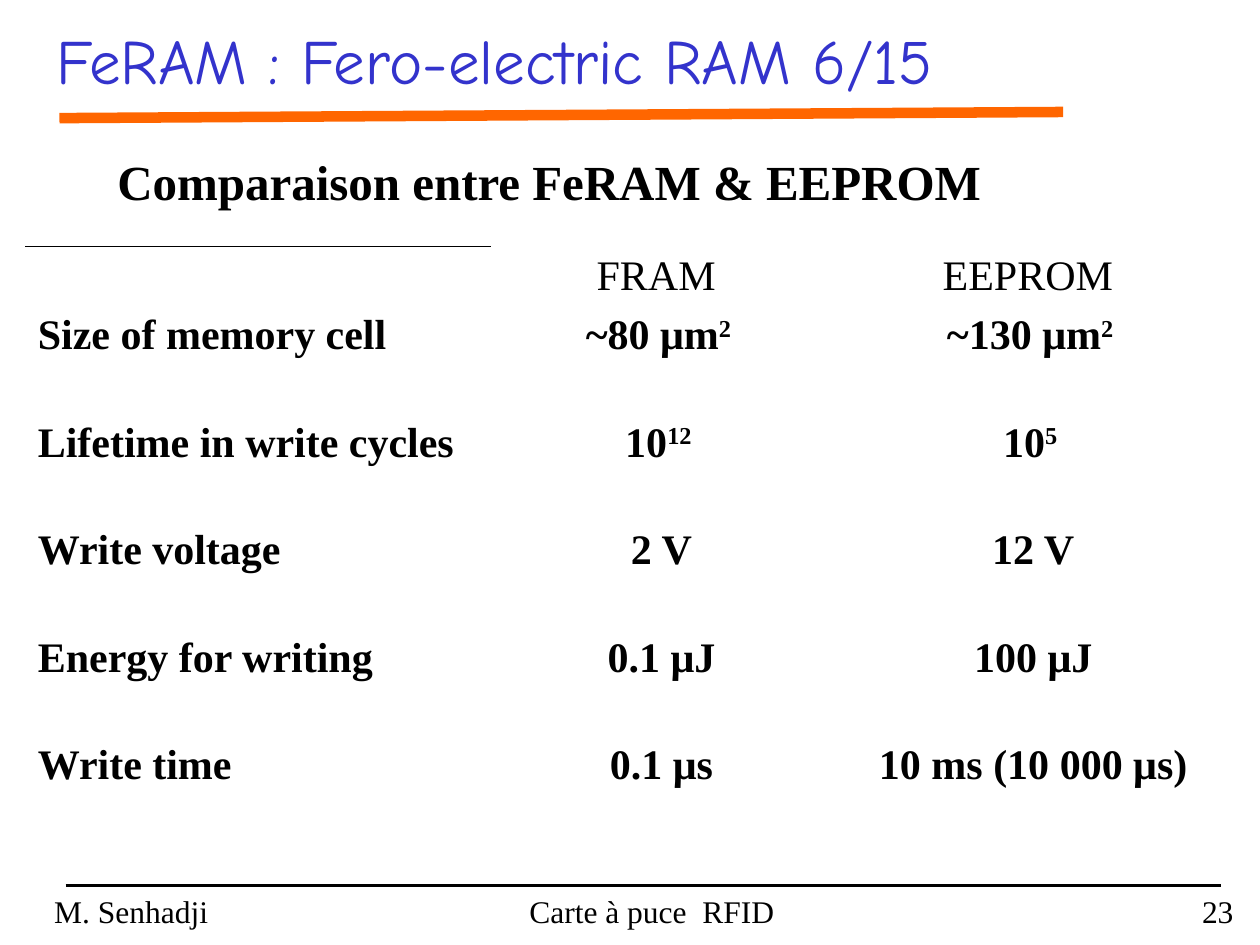
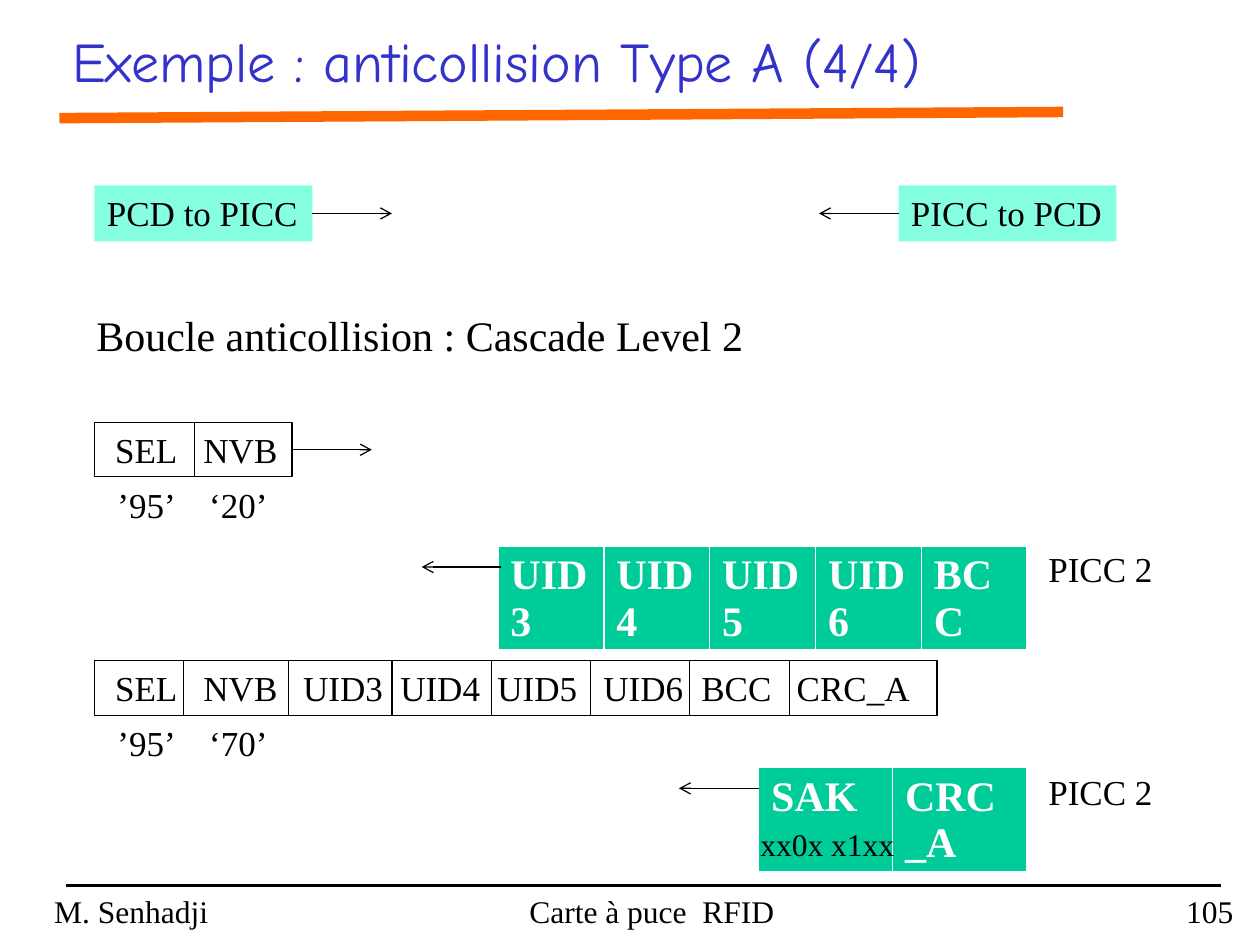
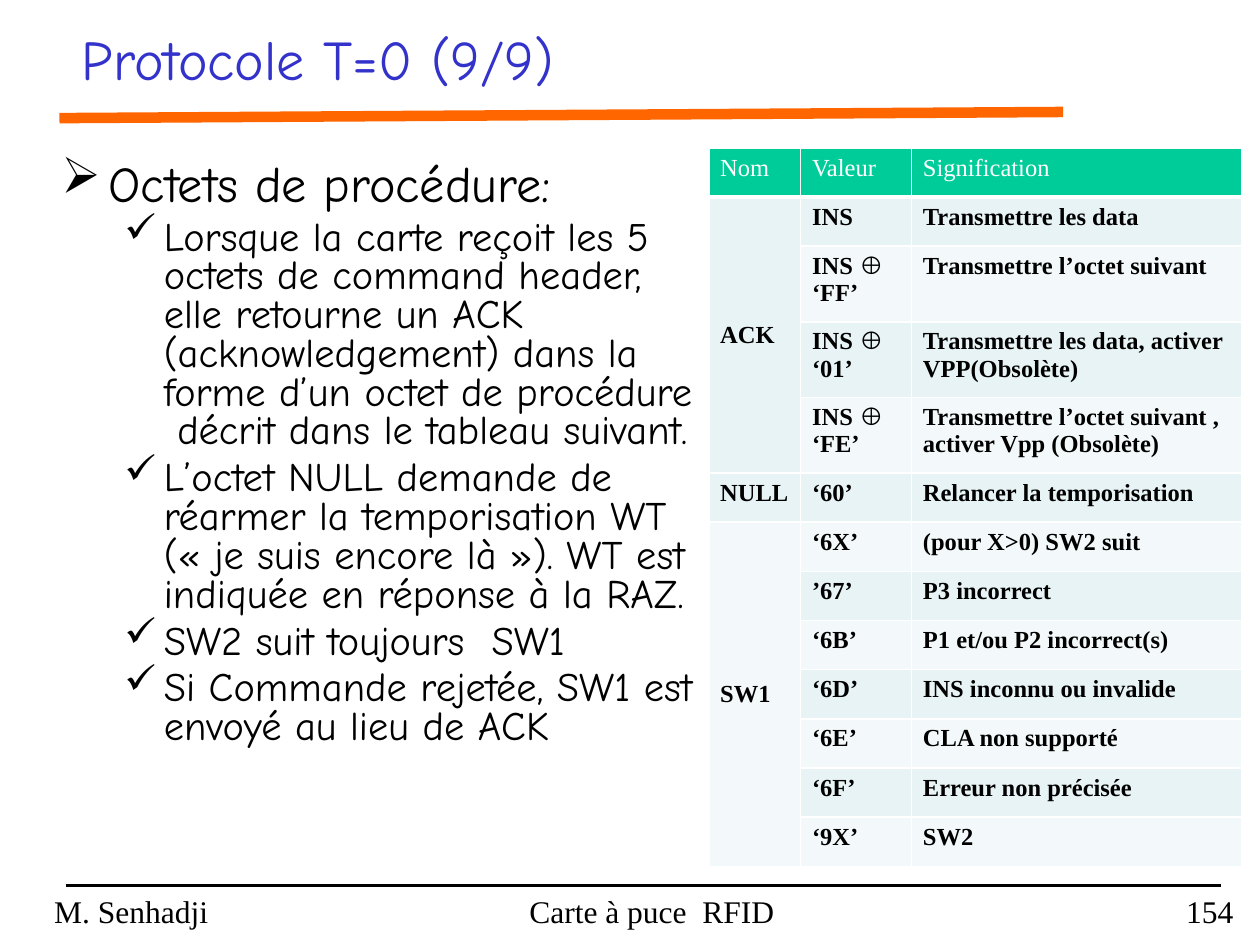
"""Build three course slides on smart cards and RFID."""
from lxml.etree import SubElement
from pptx import Presentation
from pptx.dml.color import RGBColor
from pptx.enum.shapes import MSO_CONNECTOR, MSO_SHAPE
from pptx.enum.text import MSO_ANCHOR, MSO_AUTO_SIZE, PP_ALIGN
from pptx.oxml.ns import qn
from pptx.util import Pt

SERIF, COMIC = "Times New Roman", "Comic Neue"
BLACK, WHITE, BLUE, ORANGE = "000000", "FFFFFF", "3333CC", "FF6600"
GREEN, MINT, PALE, PALER = "00CC99", "85FFE0", "E7F3F4", "F3F9FA"
PLAIN_TABLE = "{2D5ABB26-0587-4C30-8999-92F81FD0307C}"
TOP, LEFT, BOTTOM, RIGHT = range(4)
GRID = {"L": (WHITE, 1), "R": (WHITE, 1), "T": (WHITE, 1), "B": (WHITE, 1)}
HEADER_GRID = {**GRID, "B": (WHITE, 3)}


def color(value):
    return RGBColor.from_string(value)


def points(values):
    return [Pt(value) for value in values]


def add_xml(parent, tag, **attributes):
    return SubElement(parent, qn(tag), {name: str(value) for name, value in attributes.items()})


class Deck:
    def __init__(self):
        self.presentation = Presentation()
        self.presentation.slide_width, self.presentation.slide_height = Pt(720), Pt(540)
        self.slide = None

    def start_slide(self, title, box, size, number):
        self.slide = self.presentation.slides.add_slide(self.presentation.slide_layouts[5])
        shape = self.slide.shapes.title
        shape.left, shape.top, shape.width, shape.height = points(box)
        self.fill_frame(shape.text_frame, title, anchor=MSO_ANCHOR.MIDDLE,
                        size=size, name=COMIC, color=BLUE)
        self.line((34, 67.5), (607.5, 64), ORANGE, 6)
        self.line((37.5, 506), (697.5, 506), width=2.25)
        footers = [("M. Senhadji", 0, 150, PP_ALIGN.CENTER),
                   ("Carte à puce  RFID", 258.5, 228, PP_ALIGN.CENTER),
                   (str(number), 618.5, 93.5, PP_ALIGN.RIGHT)]
        for text, left, width, alignment in footers:
            self.label(text, (left, 506, width, 33), wrap=True, alignment=alignment, size=18)

    def add_text(self, paragraph, text, alignment=PP_ALIGN.LEFT, tabs=(), **format_values):
        paragraph.alignment = alignment
        if tabs:
            tab_list = add_xml(paragraph._p.get_or_add_pPr(), "a:tabLst")
            for position in tabs:
                add_xml(tab_list, "a:tab", pos=Pt(position), algn="l")
        values = {"name": SERIF, "size": 20, "color": BLACK, "bold": False, **format_values}
        font_color = color(values.pop("color"))
        values["size"] = Pt(values["size"])
        for index, part in enumerate(text.split("^")):
            run = paragraph.add_run()
            run.text = part
            for name, value in values.items():
                setattr(run.font, name, value)
            run.font.color.rgb = font_color
            if index % 2:
                run._r.get_or_add_rPr().set("baseline", "30000")

    def fill_frame(self, frame, text, wrap=True, anchor=MSO_ANCHOR.TOP, inset=7.2, **format_values):
        frame.auto_size = MSO_AUTO_SIZE.NONE
        frame.word_wrap = wrap
        frame.vertical_anchor = anchor
        frame.margin_left = Pt(inset)
        self.add_text(frame.paragraphs[0], text, **format_values)

    def label(self, text, box, wrap=False, **format_values):
        shape = self.slide.shapes.add_textbox(*points(box))
        self.fill_frame(shape.text_frame, text, wrap, **format_values)

    def rectangle(self, text, box, fill=None, outline=None, **format_values):
        shape = self.slide.shapes.add_shape(MSO_SHAPE.RECTANGLE, *points(box))
        shape.shadow.inherit = False
        if fill:
            shape.fill.solid()
            shape.fill.fore_color.rgb = color(fill)
        else:
            shape.fill.background()
        if outline:
            shape.line.color.rgb = color(outline)
            shape.line.width = Pt(0.75)
        else:
            shape.line.fill.background()
        self.fill_frame(shape.text_frame, text, **format_values)
        return shape

    def line(self, start, end, line_color=BLACK, width=0.75, arrow=False):
        connector = self.slide.shapes.add_connector(MSO_CONNECTOR.STRAIGHT, *points(start + end))
        connector.line.color.rgb = color(line_color)
        connector.line.width = Pt(width)
        properties = connector._element.spPr
        if arrow:
            add_xml(properties.find(qn("a:ln")), "a:tailEnd", type="arrow")
        add_xml(properties, "a:effectLst")
        return connector

    def arrow(self, x, y, length, source=None, side=None):
        connector = self.line((x, y), (x + length, y), arrow=True)
        if source is not None:
            connector.begin_connect(source, side)

    def field_row(self, fields, box, dividers, stops):
        left, top, width, height = box
        shape = self.rectangle("\t".join(fields), box, outline=BLACK, inset=11.75, tabs=stops)
        for x in dividers:
            self.line((x, top), (x, top + height))
        return shape

    def bullets(self, box, items):
        frame = self.slide.shapes.add_textbox(*points(box)).text_frame
        frame.word_wrap = True
        for index, (level, text) in enumerate(items):
            paragraph = frame.paragraphs[0] if index == 0 else frame.add_paragraph()
            size, margin, hanging, mark = [(28.7, 27, 27, "➢"), (23.1, 58.5, 22.5, "✓")][level]
            paragraph.level = level
            paragraph.line_spacing = 0.8
            paragraph.space_before = Pt(size * 0.2 if index else 0)
            properties = paragraph._p.get_or_add_pPr()
            properties.set("marL", str(Pt(margin)))
            properties.set("indent", str(-Pt(hanging)))
            add_xml(properties, "a:buChar", char=mark)
            self.add_text(paragraph, text, name=COMIC, size=size)

    def table(self, left, top, widths, heights, rows, style, merges=(), inset=7.2):
        box = points((left, top, sum(widths), sum(heights)))
        frame = self.slide.shapes.add_table(len(rows), len(widths), *box)
        table = frame.table
        table._tbl.tblPr.find(qn("a:tableStyleId")).text = PLAIN_TABLE
        table.first_row = table.horz_banding = False
        for column, width in zip(table.columns, widths):
            column.width = Pt(width)
        for row, height in zip(table.rows, heights):
            row.height = Pt(height)
        for row, texts in enumerate(rows):
            for column, text in enumerate(texts):
                self.style_cell(table.cell(row, column), text, inset, **style(row, column))
        for first, last in merges:
            table.cell(first, 0).merge(table.cell(last, 0))
            table.cell(first, 0).vertical_anchor = MSO_ANCHOR.MIDDLE

    def style_cell(self, cell, text, inset, edges=None, fill=None, **format_values):
        cell.margin_left = cell.margin_right = Pt(inset)
        properties = cell._tc.get_or_add_tcPr()
        for side, (edge_color, width) in (edges or {}).items():
            edge = add_xml(properties, f"a:ln{side}", w=Pt(width))
            add_xml(add_xml(edge, "a:solidFill"), "a:srgbClr", val=edge_color)
        if fill:
            cell.fill.solid()
            cell.fill.fore_color.rgb = color(fill)
        else:
            cell.fill.background()
        if text:
            self.add_text(cell.text_frame.paragraphs[0], text, **format_values)


def build_comparison(deck):
    deck.start_slide("FeRAM : Fero-electric RAM 6/15", (25, 6, 580, 56), 36, 23)
    deck.label("Comparaison entre FeRAM & EEPROM", (60, 83, 513, 41), size=28, bold=True)
    rows = [
        ("", "FRAM ", "EEPROM "),
        ("Size of memory cell", "~80 μm^2 ", "~130 μm^2 "),
        ("Lifetime in write cycles", "10^12 ", "10^5 "),
        ("Write voltage", "2 V", "12 V"),
        ("Energy for writing", "0.1 μJ", "100 μJ"),
        ("Write time", "0.1 μs", "10 ms (10 000 μs)"),
    ]

    def style(row, column):
        return {"size": 24, "bold": row > 0,
                "alignment": PP_ALIGN.CENTER if column else PP_ALIGN.LEFT,
                "edges": {"T": (BLACK, 1)} if row == column == 0 else None}

    deck.table(14.4, 141, (266.4, 194.4, 230.4), [34] + [61.4] * 5, rows, style)


def build_anticollision(deck):
    deck.start_slide("Exemple : anticollision Type A (4/4)", (34, 11.5, 608, 46), 32, 105)
    reader = deck.rectangle("PCD to PICC", (54, 106, 124.5, 32), fill=MINT)
    card = deck.rectangle("PICC to PCD", (513.5, 106, 124.5, 32), fill=MINT)
    deck.arrow(178.5, 122, 45.5, reader, RIGHT)
    deck.arrow(513.5, 122, -45.5, card, LEFT)
    deck.label("Boucle anticollision : Cascade Level 2", (48, 173.5, 387.5, 36), size=24)

    request = deck.field_row(("SEL", "NVB"), (54, 241.5, 113, 31), [111], [50.5])
    deck.arrow(167, 257, 45.5, request, RIGHT)
    deck.field_row(("SEL", "NVB", "UID3", "UID4", "UID5", "UID6", "BCC", "CRC_A"),
                   (54, 377.5, 481.5, 31.5),
                   (105, 165, 224, 281, 337.5, 394, 451),
                   (50.5, 107.5, 163, 218.5, 279, 335, 389.5))
    for codes, top in (("’95’\t‘20’", 273), ("’95’\t‘70’", 408.5)):
        deck.label(codes, (60, top, 103, 31.5), wrap=True, tabs=[52.5])

    def style(row, column):
        return {"size": 24, "bold": True, "color": WHITE, "fill": GREEN, "edges": HEADER_GRID}

    replies = [(("UID3", "UID4", "UID5", "UID6", "BCC"), 284.5, 312, 60.5, 286.5, 309.5),
               (("SAK", "CRC_A"), 433.5, 438.5, 76.5, 433.5, 436.5)]
    for fields, left, top, width, arrow_start, label_top in replies:
        deck.table(left, top, [width] * len(fields), [29.5], [fields], style)
        deck.arrow(arrow_start, top + 12, -45.5)
        deck.label("PICC 2", (592, label_top, 75, 31.5))
    deck.label("xx0x x1xx", (427.5, 468, 91.5, 29), size=18)


def build_protocol(deck):
    deck.start_slide("Protocole T=0 (9/9)", (39.5, 10, 608, 46), 32, 154)
    deck.bullets((28, 90, 376.5, 394), [
        (0, "Octets de procédure:"),
        (1, "Lorsque la carte reçoit les 5 octets de command header, elle retourne un ACK "
            "(acknowledgement) dans la forme d’un octet de procédure  décrit dans le tableau suivant."),
        (1, "L’octet NULL demande de réarmer la temporisation WT (« je suis encore là »). "
            "WT est indiquée en réponse à la RAZ."),
        (1, "SW2 suit toujours  SW1"),
        (1, "Si Commande rejetée, SW1 est envoyé au lieu de ACK"),
    ])
    rows = [
        ("Nom", "Valeur", "Signification"),
        ("ACK", "INS", "Transmettre les data"),
        ("", "INS ⊕ ‘FF’", "Transmettre l’octet suivant"),
        ("", "INS ⊕ ‘01’", "Transmettre les data, activer VPP(Obsolète)"),
        ("", "INS ⊕ ‘FE’", "Transmettre l’octet suivant , activer Vpp (Obsolète)"),
        ("NULL", "‘60’", "Relancer la temporisation"),
        ("SW1", "‘6X’", "(pour X>0) SW2 suit"),
        ("", "’67’", "P3 incorrect"),
        ("", "‘6B’", "P1 et/ou P2 incorrect(s)"),
        ("", "‘6D’", "INS inconnu ou invalide"),
        ("", "‘6E’", "CLA non supporté"),
        ("", "‘6F’", "Erreur non précisée"),
        ("", "‘9X’", "SW2"),
    ]

    def style(row, column):
        if row == 0:
            return {"size": 14, "color": WHITE, "fill": GREEN, "edges": HEADER_GRID}
        edges = {**GRID, "T": (WHITE, 3)} if row == 1 else GRID
        return {"size": 14, "bold": True, "fill": PALE if row % 2 else PALER, "edges": edges}

    heights = [43.2 if "⊕" in value else 28.1 for name, value, meaning in rows]
    deck.table(405, 84.5, (52.5, 63.4, 188.6), heights, rows, style, [(1, 4), (6, 12)], 6.5)


def main():
    deck = Deck()
    build_comparison(deck)
    build_anticollision(deck)
    build_protocol(deck)
    deck.presentation.save("out.pptx")


if __name__ == "__main__":
    main()
